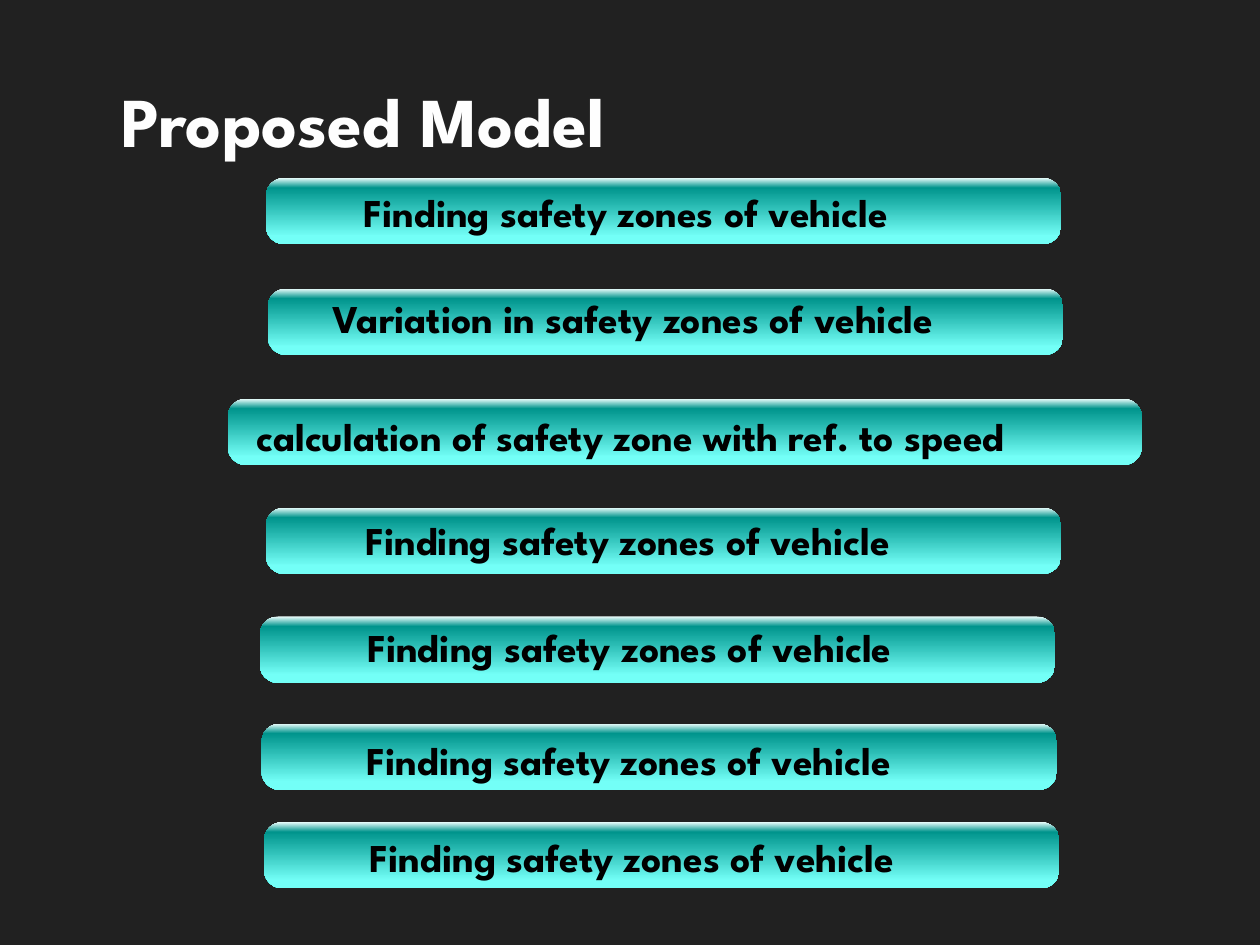
from dataclasses import dataclass

from lxml import etree
from pptx import Presentation
from pptx.dml.color import RGBColor
from pptx.enum.shapes import MSO_SHAPE
from pptx.enum.text import MSO_ANCHOR, MSO_AUTO_SIZE, PP_ALIGN
from pptx.oxml import parse_xml
from pptx.oxml.ns import qn
from pptx.util import Pt

ROUNDED = MSO_SHAPE.ROUNDED_RECTANGLE
MIDDLE, BOTTOM = MSO_ANCHOR.MIDDLE, MSO_ANCHOR.BOTTOM
NO_FIT = MSO_AUTO_SIZE.NONE
LEFT = PP_ALIGN.LEFT


@dataclass(frozen=True)
class Theme:
    font: str = "League Spartan"
    background: str = "212121"
    title_color: str = "FEFEFE"
    label_color: str = "000000"
    title_size: float = 56.9
    label_size: float = 32
    gradient: tuple = ((0, "EFFFFE"), (15, "00948C"), (88, "73FFF7"), (100, "73FFF7"))


THEME = Theme()
TITLE_SHADOW = (
    '<a:effectLst xmlns:a="http://schemas.openxmlformats.org/drawingml/2006/main">'
    '<a:outerShdw blurRad="50800" dist="25400" dir="5400000">'
    '<a:srgbClr val="000000"><a:alpha val="50000"/></a:srgbClr>'
    "</a:outerShdw></a:effectLst>"
)


def write_text(shape, text, size, color, anchor):
    frame = shape.text_frame
    frame.text = text
    frame.word_wrap = True
    frame.auto_size = NO_FIT
    frame.vertical_anchor = anchor
    frame.margin_left = frame.margin_right = Pt(4)
    frame.margin_top = frame.margin_bottom = Pt(4)
    para = frame.paragraphs[0]
    para.alignment = LEFT
    span = para.runs[0]
    span.font.name = THEME.font
    span.font.size = Pt(size)
    span.font.bold = True
    span.font.color.rgb = RGBColor.from_string(color)


def fill_with_gradient(shape):
    shape.fill.gradient()
    shape.fill.gradient_angle = 270
    stops = shape.element.spPr.find(qn("a:gradFill")).find(qn("a:gsLst"))
    for stop in list(stops):
        stops.remove(stop)
    for position, color in THEME.gradient:
        stop = etree.SubElement(stops, qn("a:gs"), pos=str(position * 1000))
        etree.SubElement(stop, qn("a:srgbClr"), val=color)


deck = Presentation()
deck.slide_width, deck.slide_height = Pt(1024), Pt(768)
page = deck.slides.add_slide(deck.slide_layouts[5])
page.background.fill.solid()
page.background.fill.fore_color.rgb = RGBColor.from_string(THEME.background)

title = page.shapes.title
title.left, title.top, title.width, title.height = Pt(95), Pt(26), Pt(842), Pt(109)
write_text(title, "Proposed Model", THEME.title_size, THEME.title_color, BOTTOM)
title_color_fill = next(title.element.iter(qn("a:solidFill")))
title_color_fill.addnext(parse_xml(TITLE_SHADOW))

FINDING = "Finding safety zones of vehicle"
VARIATION = "Variation in safety zones of vehicle"
CALCULATION = "calculation of safety zone with ref. to speed"
BAR_HEIGHT, LABEL_HEIGHT = 54, 47
BAR_WIDTH, WIDE_BAR_WIDTH = 646.5, 743

steps = [
    (FINDING, 216, 144.5, BAR_WIDTH, 291.5, 148.5, 482),
    (VARIATION, 217.5, 234.5, BAR_WIDTH, 266.5, 234.5, 547),
    (CALCULATION, 185, 324, WIDE_BAR_WIDTH, 204.5, 330.5, 693),
    (FINDING, 216, 412.5, BAR_WIDTH, 293, 415.5, 482),
    (FINDING, 211, 501, BAR_WIDTH, 294.5, 502.5, 482),
    (FINDING, 212.5, 588, BAR_WIDTH, 294, 594, 482),
    (FINDING, 214.5, 668, BAR_WIDTH, 296.5, 672.5, 482),
]

for text, bar_left, bar_top, bar_width, label_left, label_top, label_width in steps:
    bar = page.shapes.add_shape(
        ROUNDED, Pt(bar_left), Pt(bar_top), Pt(bar_width), Pt(BAR_HEIGHT)
    )
    bar.adjustments[0] = 0.28
    bar.shadow.inherit = False
    bar.line.fill.background()
    fill_with_gradient(bar)

    label = page.shapes.add_textbox(
        Pt(label_left), Pt(label_top), Pt(label_width), Pt(LABEL_HEIGHT)
    )
    write_text(label, text, THEME.label_size, THEME.label_color, MIDDLE)

deck.save("out.pptx")
